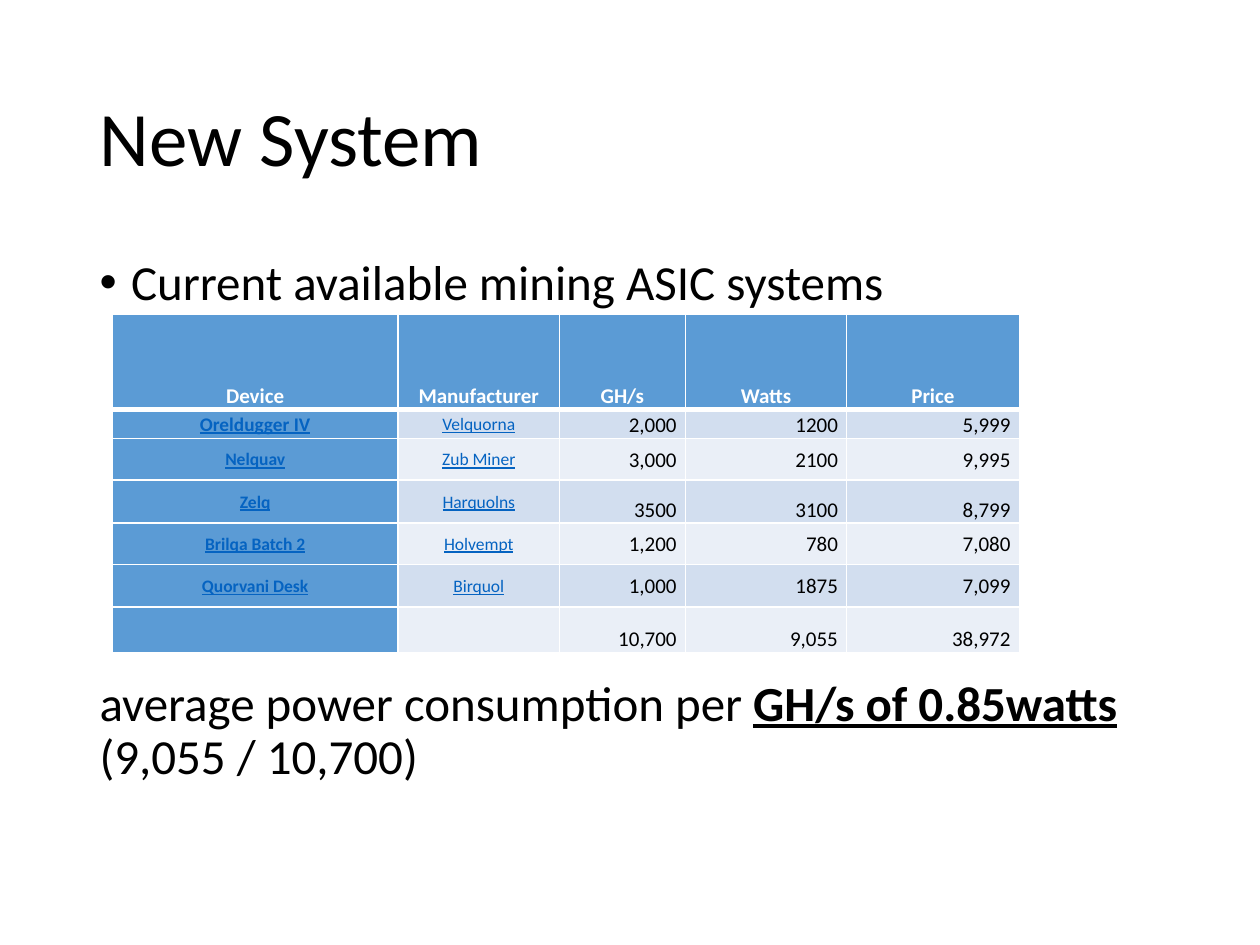
from pptx import Presentation
from pptx.dml.color import RGBColor
from pptx.enum.text import MSO_ANCHOR, MSO_AUTO_SIZE, PP_ALIGN
from pptx.oxml.ns import qn
from pptx.util import Inches, Pt
from lxml import etree

TOP, MIDDLE, BOTTOM = MSO_ANCHOR.TOP, MSO_ANCHOR.MIDDLE, MSO_ANCHOR.BOTTOM
LEFT, CENTER, RIGHT = PP_ALIGN.LEFT, PP_ALIGN.CENTER, PP_ALIGN.RIGHT
NO_FIT = MSO_AUTO_SIZE.NONE

FONT = "Calibri"
COLORS = {
    "text": "000000",
    "white": "FFFFFF",
    "accent": "5B9BD5",
    "link": "0563C1",
    "odd": "D2DEEF",
    "even": "EAEFF7",
}

COL_WIDTHS = [2.27, 1.28, 1, 1.28, 1.37]
ROW_HEIGHTS = [0.76, 0.23, 0.33, 0.34, 0.33, 0.34, 0.36]
ROWS = [
    ["Device", "Manufacturer", "GH/s", "Watts", "Price"],
    ["Oreldugger IV", "Velquorna", "2,000", "1200", "5,999"],
    ["Nelquav", "Zub Miner", "3,000", "2100", "9,995"],
    ["Zelq", "Harquolns", "3500", "3100", "8,799"],
    ["Brilqa Batch 2", "Holvempt", "1,200", "780", "7,080"],
    ["Quorvani Desk", "Birquol", "1,000", "1875", "7,099"],
    ["", "", "10,700", "9,055", "38,972"],
]
BOTTOM_ROWS = (0, 3, 6)  # rows whose figures sit on the lower edge


def set_all(obj, values):
    for name, value in values.items():
        setattr(obj, name, value)


def rgb(name):
    return RGBColor.from_string(COLORS[name])


def add_run(p, text, size, color="text", bold=False, underline=False):
    r = p.add_run()
    r.text = text
    set_all(r.font, {"name": FONT, "size": Pt(size), "bold": bold, "underline": underline})
    r.font.color.rgb = rgb(color)


def place(sp, left, top, width, height, anchor):
    set_all(sp, {"left": Inches(left), "top": Inches(top),
                 "width": Inches(width), "height": Inches(height)})
    set_all(sp.text_frame, {"auto_size": NO_FIT, "word_wrap": True, "vertical_anchor": anchor})
    return sp.text_frame


def format_body_paragraph(p, space_before, bullet):
    set_all(p, {"line_spacing": 0.9, "space_before": Pt(space_before), "alignment": LEFT})
    pPr = p._p.get_or_add_pPr()
    indent = Inches(0.25) if bullet else 0
    pPr.set("marL", str(indent))
    pPr.set("indent", str(-indent))
    if bullet:
        etree.SubElement(pPr, qn("a:buChar")).set("char", "•")
    else:
        etree.SubElement(pPr, qn("a:buNone"))


def add_title(s):
    tf = place(s.shapes.title, 0.69, 0.4, 8.62, 1.45, MIDDLE)
    p = tf.paragraphs[0]
    set_all(p, {"alignment": LEFT, "line_spacing": 0.9})
    add_run(p, "New System", 44)


def add_body(s):
    tf = place(s.placeholders[1], 0.69, 2, 8.62, 4.76, TOP)
    p = tf.paragraphs[0]
    format_body_paragraph(p, 10, bullet=True)
    add_run(p, "Current available mining ASIC systems", 28)

    p = tf.add_paragraph()
    format_body_paragraph(p, 210, bullet=False)  # leaves room for the table
    add_run(p, "average power consumption per ", 28)
    add_run(p, "GH/s of 0.85watts", 28, bold=True, underline=True)
    add_run(p, " (9,055 / 10,700)", 28)


def set_borders(cell, row):
    """White lines, with a heavier one under the header row."""
    widths = {"L": 1, "R": 1, "T": 3 if row == 1 else 1, "B": 3 if row == 0 else 1}
    tcPr = cell._tc.get_or_add_tcPr()
    for side, width in widths.items():
        ln = etree.SubElement(tcPr, qn(f"a:ln{side}"), w=str(Pt(width)))
        fill = etree.SubElement(ln, qn("a:solidFill"))
        etree.SubElement(fill, qn("a:srgbClr"), val=COLORS["white"])


def cell_style(row, col):
    """Return the run format, alignment and fill name of a cell."""
    if row == 0:
        return {"size": 12, "color": "white", "bold": True}, CENTER, "accent"
    band = "odd" if row % 2 else "even"
    if col > 1:
        return {"size": 12}, RIGHT, band
    device = col == 0
    size = 11 if device and row == 1 else 10
    font = {"size": size, "color": "link", "bold": device, "underline": True}
    return font, CENTER, "accent" if device else band


def fill_cell(cell, text, row, col):
    font, align, fill = cell_style(row, col)
    on_bottom = row in BOTTOM_ROWS and (row == 0 or col > 1)
    set_all(cell, {"margin_left": Inches(0.07), "margin_right": Inches(0.07),
                   "margin_top": 0, "margin_bottom": 0,
                   "vertical_anchor": BOTTOM if on_bottom else MIDDLE})
    set_borders(cell, row)
    cell.fill.solid()
    cell.fill.fore_color.rgb = rgb(fill)
    if text:
        p = cell.text_frame.paragraphs[0]
        set_all(p, {"alignment": align, "line_spacing": 1.07})
        add_run(p, text, **font)


def add_miner_table(s):
    table = s.shapes.add_table(
        len(ROWS), len(COL_WIDTHS), Inches(0.89), Inches(2.49),
        Inches(sum(COL_WIDTHS)), Inches(sum(ROW_HEIGHTS))).table
    for column, width in zip(table.columns, COL_WIDTHS):
        column.width = Inches(width)
    for i, (height, texts) in enumerate(zip(ROW_HEIGHTS, ROWS)):
        table.rows[i].height = Inches(height)
        for j, text in enumerate(texts):
            fill_cell(table.cell(i, j), text, i, j)


def main():
    prs = Presentation()
    prs.slide_width, prs.slide_height = Inches(10), Inches(7.5)
    s = prs.slides.add_slide(prs.slide_layouts[1])
    add_title(s)
    add_body(s)
    add_miner_table(s)
    prs.save("out.pptx")


if __name__ == "__main__":
    main()
